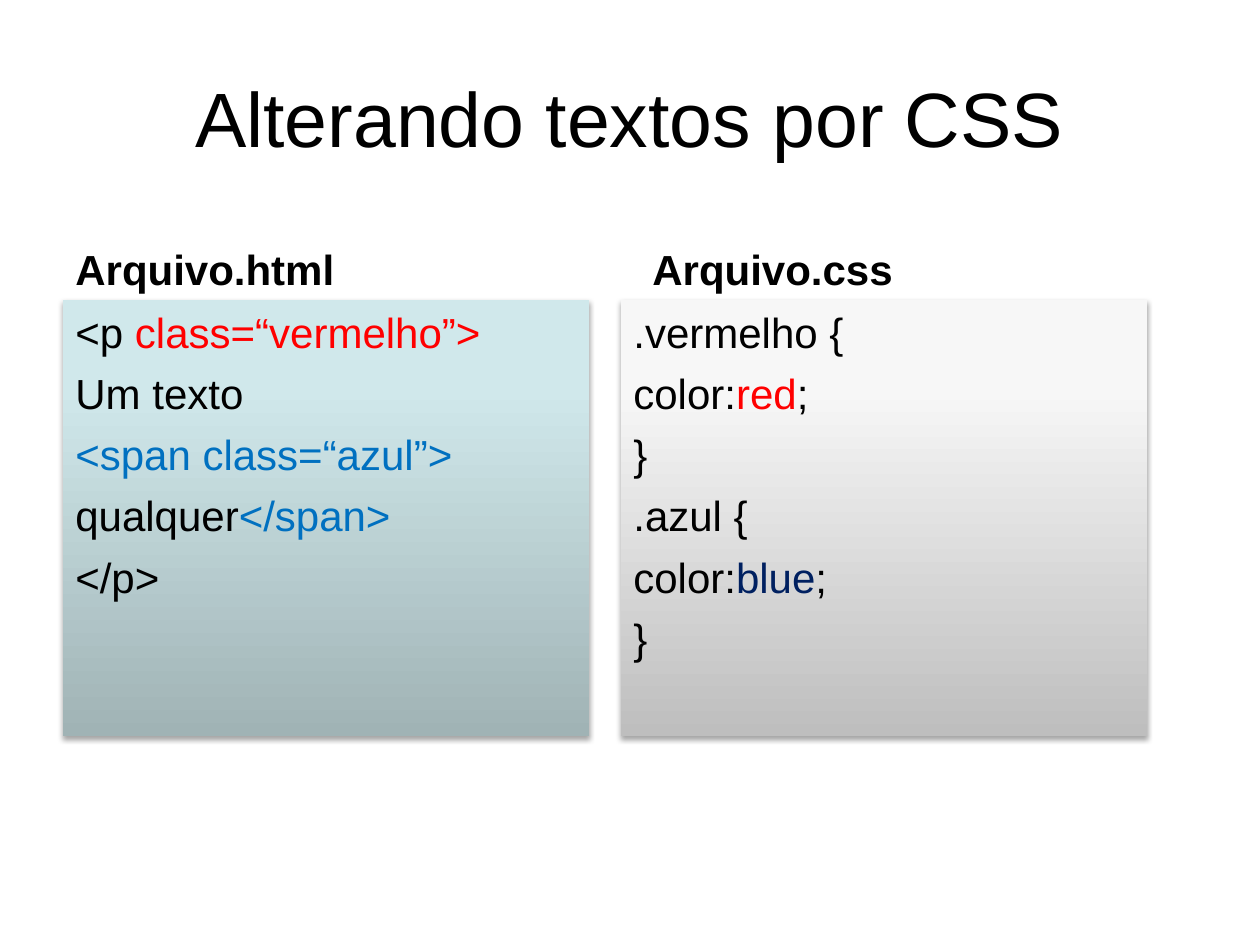
import copy

import pptx
import pptx.dml.color
import pptx.enum.shapes
import pptx.enum.text
import pptx.oxml
import pptx.oxml.ns
import pptx.util

RGB = pptx.dml.color.RGBColor
ANCHOR = pptx.enum.text.MSO_ANCHOR
ALIGN = pptx.enum.text.PP_ALIGN
qn = pptx.oxml.ns.qn

BLACK = RGB(0x00, 0x00, 0x00)
RED = RGB(0xFF, 0x00, 0x00)
BLUE = RGB(0x00, 0x70, 0xC0)
NAVY = RGB(0x00, 0x20, 0x60)
TEAL = (RGB(0xA0, 0xB3, 0xB5), RGB(0xD0, 0xE8, 0xEB), RGB(0xD1, 0xEA, 0xEC))
GRAY = (RGB(0xBE, 0xBE, 0xBE), RGB(0xF7, 0xF7, 0xF7), RGB(0xF8, 0xF8, 0xF8))

PX = 914400 // 126  # EMU in one px
SHADOW = (
    '<a:outerShdw xmlns:a="http://schemas.openxmlformats.org/drawingml/2006/main"'
    ' blurRad="39370" dist="22860" dir="5400000" rotWithShape="0">'
    '<a:srgbClr val="000000"><a:alpha val="35000"/></a:srgbClr></a:outerShdw>'
)


class Page:
    font = "Arial"
    size = 24
    gap = 6.2

    def __init__(self, deck):
        self.slide = deck.slides.add_slide(deck.slide_layouts[6])

    def panel(self, box, tones):
        """Rectangle with a three-stop gradient and a soft shadow."""
        kind = pptx.enum.shapes.MSO_SHAPE.RECTANGLE
        shape = self.slide.shapes.add_shape(kind, *(n * PX for n in box))
        shape.line.fill.background()
        shape.fill.gradient()
        shape.fill.gradient_angle = 90
        props = shape.element.spPr
        stops = props.find(".//" + qn("a:gsLst"))
        stops.append(copy.deepcopy(stops[0]))
        for stop, tone, place in zip(shape.fill.gradient_stops, tones, (0, 0.8, 1)):
            stop.color.rgb = tone
            stop.position = place
        shape.shadow.inherit = False
        props.find(qn("a:effectLst")).append(pptx.oxml.parse_xml(SHADOW))

    def text(self, box, lines, size=size, bold=False, gap=gap,
             anchor=ANCHOR.TOP, align=ALIGN.LEFT):
        """Text box; each line is a list of (words, colour) runs."""
        frame = self.slide.shapes.add_textbox(*(n * PX for n in box)).text_frame
        frame.word_wrap = True
        frame.vertical_anchor = anchor
        for i, line in enumerate(lines):
            para = frame.add_paragraph() if i else frame.paragraphs[0]
            para.alignment = align
            para.space_before = pptx.util.Pt(gap)
            for words, color in line:
                run = para.add_run()
                run.text = words
                run.font.name = self.font
                run.font.size = pptx.util.Pt(size)
                run.font.bold = bold
                run.font.color.rgb = color


def main():
    deck = pptx.Presentation()
    deck.slide_width = pptx.util.Inches(10)
    deck.slide_height = pptx.util.Inches(7.5)
    page = Page(deck)

    # Code panels
    left, right, top, wide = 63, 621, 300, 526
    for x, tones in ((left, TEAL), (right, GRAY)):
        page.panel((x, top, wide, 436), tones)

    # Title
    page.text((left, 38, 1134, 158), [[("Alterando textos por CSS", BLACK)]],
              size=44, gap=0, anchor=ANCHOR.MIDDLE, align=ALIGN.CENTER)

    # File names
    for x, name in ((left, "Arquivo.html"), (640, "Arquivo.css")):
        page.text((x, 212, 557, 88), [[(name, BLACK)]],
                  bold=True, anchor=ANCHOR.BOTTOM)

    # HTML code
    page.text((left, top, 557, 544), [
        [("<p ", BLACK), ("class=“vermelho”>", RED)],
        [("Um texto", BLACK)],
        [("<span class=“azul”>", BLUE)],
        [("qualquer", BLACK), ("</span>", BLUE)],
        [("</p>", BLACK)],
    ])

    # CSS code
    rules = (("vermelho", "red", RED), ("azul", "blue", NAVY))
    lines = []
    for name, value, color in rules:
        lines += [
            [(f".{name} {{", BLACK)],
            [("color:", BLACK), (value, color), (";", BLACK)],
            [("}", BLACK)],
        ]
    page.text((right, top, wide, 544), lines)

    deck.save("out.pptx")


if __name__ == "__main__":
    main()
